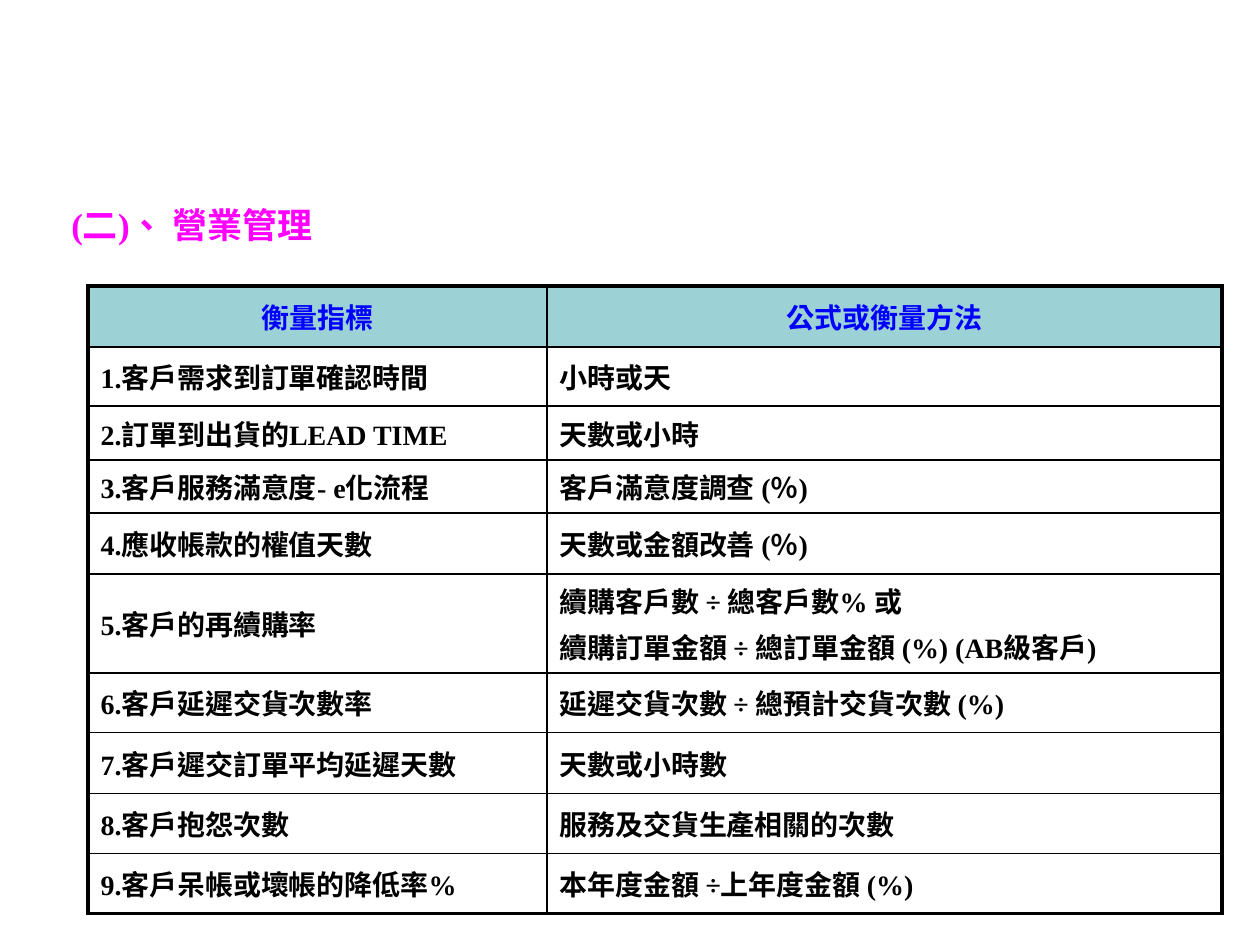
from dataclasses import dataclass

from lxml import etree
from pptx import Presentation
from pptx.dml.color import RGBColor
from pptx.enum.lang import MSO_LANGUAGE_ID
from pptx.enum.text import MSO_ANCHOR, MSO_AUTO_SIZE, PP_ALIGN
from pptx.oxml.ns import qn
from pptx.util import Emu, Pt

CENTER, JUSTIFY = PP_ALIGN.CENTER, PP_ALIGN.JUSTIFY
MIDDLE = MSO_ANCHOR.MIDDLE
GROW = MSO_AUTO_SIZE.SHAPE_TO_FIT_TEXT
CHINESE = MSO_LANGUAGE_ID.TRADITIONAL_CHINESE
EMU_PER_PX = 914400 // 126


@dataclass(frozen=True)
class Theme:
    font: str = "Times New Roman"
    heading: str = "FF00FF"
    header_text: str = "0000FF"
    header_fill: str = "9CD2D6"
    body_text: str = "000000"
    body_fill: str = "FFFFFF"
    border: str = "000000"
    heading_size: float = 20
    table_size: float = 16
    line_gap: float = 3.2
    outer_border: float = 2.25
    inner_border: float = 1


THEME = Theme()
HEADING = "(二)、 營業管理"
COLUMN_WIDTHS = [459, 675]
ROW_HEIGHTS = [61, 59, 54, 53, 61, 90, 60, 61, 60, 60]
INDICATORS = [
    ("衡量指標", "公式或衡量方法"),
    ("1.客戶需求到訂單確認時間", "小時或天"),
    ("2.訂單到出貨的LEAD TIME", "天數或小時"),
    ("3.客戶服務滿意度- e化流程", "客戶滿意度調查 (％)"),
    ("4.應收帳款的權值天數", "天數或金額改善 (％)"),
    ("5.客戶的再續購率", "續購客戶數 ÷ 總客戶數% 或\n續購訂單金額 ÷ 總訂單金額 (%) (AB級客戶)"),
    ("6.客戶延遲交貨次數率", "延遲交貨次數 ÷ 總預計交貨次數 (%)"),
    ("7.客戶遲交訂單平均延遲天數", "天數或小時數"),
    ("8.客戶抱怨次數", "服務及交貨生產相關的次數"),
    ("9.客戶呆帳或壞帳的降低率%", "本年度金額 ÷上年度金額 (%)"),
]


def px(length):
    return Emu(length * EMU_PER_PX)


def apply(target, values):
    for name, value in values.items():
        setattr(target, name, value)


def write(frame, text, size, color, align=None):
    frame.text = text
    for index, paragraph in enumerate(frame.paragraphs):
        paragraph.alignment = align
        if index:
            paragraph.space_before = Pt(THEME.line_gap)
        for run in paragraph.runs:
            apply(run.font, {"name": THEME.font, "size": Pt(size), "bold": True,
                             "language_id": CHINESE})
            run.font.color.rgb = RGBColor.from_string(color)


def add_borders(cell, outer_sides):
    properties = cell._tc.get_or_add_tcPr()
    for side in ("L", "R", "T", "B"):
        width = THEME.outer_border if side in outer_sides else THEME.inner_border
        line = etree.SubElement(properties, qn(f"a:ln{side}"), w=str(Pt(width)))
        fill = etree.SubElement(line, qn("a:solidFill"))
        etree.SubElement(fill, qn("a:srgbClr"), val=THEME.border)


def add_heading(slide):
    box = slide.shapes.add_textbox(px(59), px(197), px(368), px(55))
    apply(box.text_frame, {"word_wrap": True, "auto_size": GROW})
    write(box.text_frame, HEADING, THEME.heading_size, THEME.heading)


def fill_cell(cell, text, is_header, outer_sides):
    color = THEME.header_text if is_header else THEME.body_text
    fill = THEME.header_fill if is_header else THEME.body_fill
    write(cell.text_frame, text, THEME.table_size, color, CENTER if is_header else JUSTIFY)
    cell.vertical_anchor = MIDDLE
    add_borders(cell, outer_sides)
    cell.fill.solid()
    cell.fill.fore_color.rgb = RGBColor.from_string(fill)


def add_indicator_table(slide):
    table = slide.shapes.add_table(
        len(INDICATORS), len(COLUMN_WIDTHS), px(88), px(286),
        px(sum(COLUMN_WIDTHS)), px(sum(ROW_HEIGHTS))).table
    apply(table, {"first_row": False, "horz_banding": False})
    for column, width in zip(table.columns, COLUMN_WIDTHS):
        column.width = px(width)
    last_row = len(INDICATORS) - 1
    for row_index, (height, texts) in enumerate(zip(ROW_HEIGHTS, INDICATORS)):
        table.rows[row_index].height = px(height)
        row_sides = {0: "T", last_row: "B"}.get(row_index, "")
        for column_index, (text, side) in enumerate(zip(texts, "LR")):
            fill_cell(table.cell(row_index, column_index), text,
                      row_index == 0, row_sides + side)


def main():
    deck = Presentation()
    apply(deck, {"slide_width": px(1260), "slide_height": px(945)})
    slide = deck.slides.add_slide(deck.slide_layouts[6])
    add_indicator_table(slide)
    add_heading(slide)
    deck.save("out.pptx")


if __name__ == "__main__":
    main()
